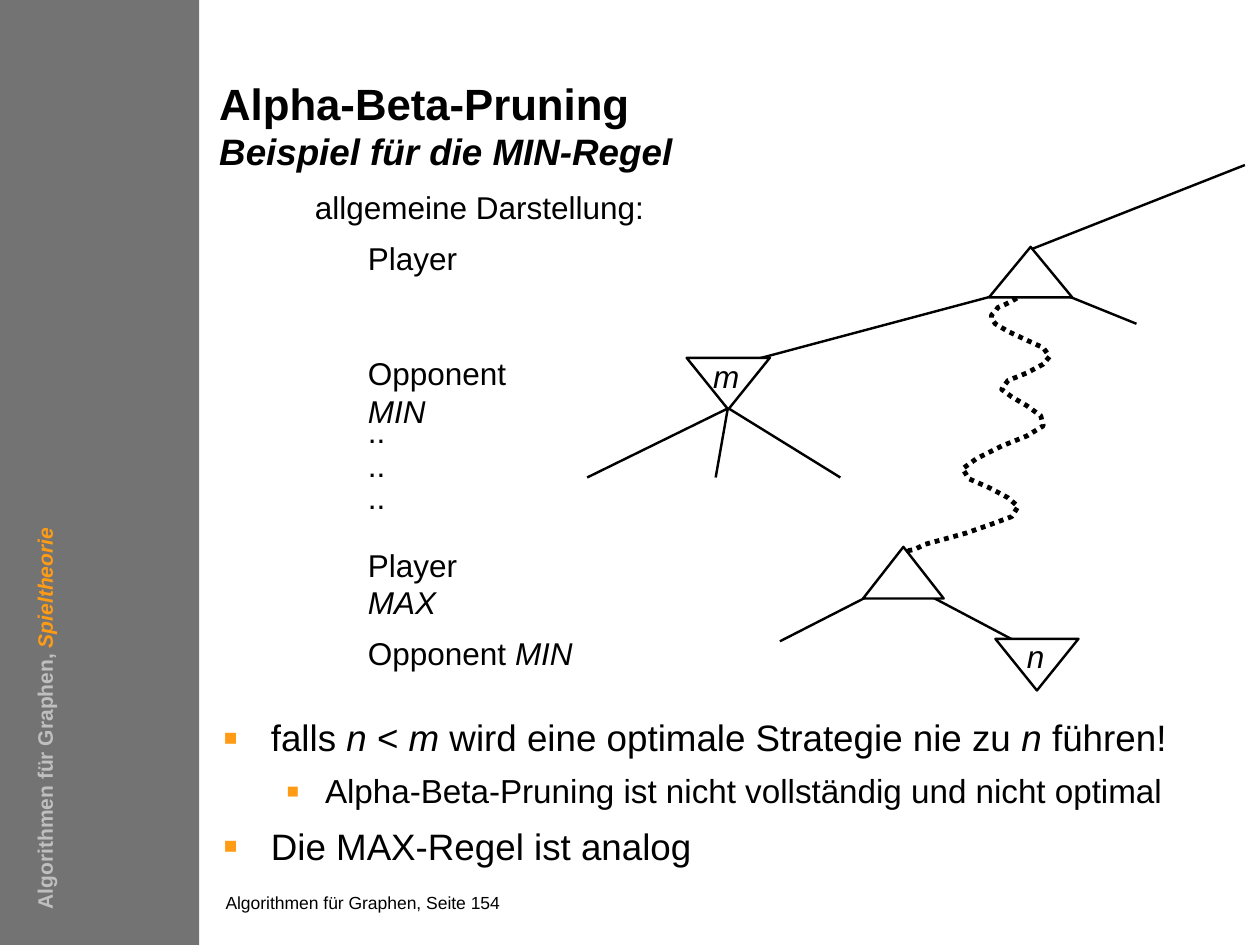
from dataclasses import dataclass

import pptx
import pptx.dml.color
import pptx.enum.dml
import pptx.enum.shapes
import pptx.enum.text
import pptx.oxml
import pptx.oxml.ns
import pptx.util

PX = 9144  # EMU per px, 100 px to the inch
FONT = "Arial"
BLACK = pptx.dml.color.RGBColor(0x00, 0x00, 0x00)
WHITE = pptx.dml.color.RGBColor(0xFF, 0xFF, 0xFF)
GRAY = pptx.dml.color.RGBColor(0x73, 0x73, 0x73)
LIGHT_GRAY = pptx.dml.color.RGBColor(0xBF, 0xBF, 0xBF)
ORANGE = pptx.dml.color.RGBColor(0xFF, 0x9B, 0x14)
TREE_LINE = 1.38


@dataclass(frozen=True)
class Run:
    text: str
    size: int = 18
    italic: bool = False
    bold: bool = False
    color: pptx.dml.color.RGBColor = BLACK


@dataclass(frozen=True)
class TextBox:
    left: int
    top: int
    width: int
    height: int
    runs: tuple[Run, ...] = ()
    wrap: bool = True
    margins: tuple[int, int] = (0, 0)
    rotation: int = 0


@dataclass(frozen=True)
class Bullet:
    level: int
    margin: int
    hanging: int
    space_before: float
    runs: tuple[Run, ...]


@dataclass(frozen=True)
class Node:
    """A game tree node: MAX points up, MIN points down."""
    left: int
    base: int
    width: int
    tip: int


TITLE = TextBox(174, 67, 510, 75)
TITLE_LINES = (
    Run("Alpha-Beta-Pruning", 25, bold=True),
    Run("Beispiel für die MIN-Regel", 21, italic=True, bold=True),
)
BODY = TextBox(177, 564, 807, 150)
BULLETS = (
    Bullet(0, 38, 38, 0, (
        Run("falls ", 21), Run("n", 21, True), Run(" < ", 21), Run("m", 21, True),
        Run(" wird eine optimale Strategie nie zu ", 21), Run("n", 21, True),
        Run(" führen!", 21))),
    Bullet(1, 81, 31, 4.4, (
        Run("Alpha-Beta-Pruning ist nicht vollständig und nicht optimal", 19),)),
    Bullet(0, 38, 38, 4.8, (Run("Die MAX-Regel ist analog", 21),)),
)

LABEL_LEFT, LABEL_HEIGHT = 292, 30
TEXTS = (
    TextBox(179, 708, 486, 21, (Run("Algorithmen für Graphen, Seite 154", 10),)),
    TextBox(LABEL_LEFT, 190, 71, LABEL_HEIGHT, (Run("Player"),), wrap=False),
    TextBox(LABEL_LEFT, 281, 160, LABEL_HEIGHT, (Run("Opponent "), Run("MIN", italic=True))),
    TextBox(LABEL_LEFT, 433, 128, LABEL_HEIGHT, (Run("Player "), Run("MAX", italic=True))),
    TextBox(LABEL_LEFT, 503, 243, LABEL_HEIGHT, (Run("Opponent "), Run("MIN", italic=True))),
    *(TextBox(LABEL_LEFT, top, 14, LABEL_HEIGHT, (Run(".."),), wrap=False)
      for top in (327, 354, 379)),
    TextBox(566, 283, 21, LABEL_HEIGHT, (Run("m", italic=True),), wrap=False),
    TextBox(815, 506, 21, LABEL_HEIGHT, (Run("n", italic=True),)),
    TextBox(240, 144, 495, 45, (Run("allgemeine Darstellung:"),), margins=(10, 5)),
    TextBox(-198, 483, 467, 30, (
        Run("Algorithmen für Graphen, ", 12, bold=True, color=LIGHT_GRAY),
        Run("Spieltheorie", 12, True, True, ORANGE)), margins=(10, 5), rotation=270),
)

BRANCHES = (
    ((818, 198), (988, 131)), ((823, 225), (902, 257)), ((818, 227), (578, 291)),
    ((578, 324), (466, 379)), ((578, 322), (568, 379)), ((578, 324), (667, 379)),
    ((711, 462), (619, 509)), ((721, 464), (810, 511)),
)
NODES = (Node(785, 236, 66, 196), Node(545, 284, 66, 325),
         Node(685, 475, 64, 434), Node(790, 507, 66, 548))
OMITTED_PATH = (
    (820, 229), (818, 231), (810, 234), (808, 236), (803, 239), (797, 242), (792, 244),
    (790, 247), (787, 250), (787, 253), (790, 257), (800, 263), (815, 270), (828, 276),
    (833, 283), (828, 289), (815, 296), (800, 302), (795, 309), (803, 315), (815, 322),
    (826, 330), (828, 338), (815, 346), (795, 354), (775, 364), (764, 372), (769, 380),
    (785, 387), (800, 395), (808, 402), (803, 410), (787, 416), (767, 423), (749, 428),
    (734, 432), (726, 436), (721, 437), (721, 439), (718, 441),
)


def add_run(paragraph, item: Run) -> None:
    run = paragraph.add_run()
    run.text = item.text
    run.font.name = FONT
    run.font.size = pptx.util.Pt(item.size)
    run.font.bold = item.bold
    run.font.italic = item.italic
    run.font.color.rgb = item.color


def add_text_box(slide, box: TextBox):
    shape = slide.shapes.add_textbox(
        box.left * PX, box.top * PX, box.width * PX, box.height * PX)
    shape.rotation = box.rotation
    frame = shape.text_frame
    frame.word_wrap = box.wrap
    frame.vertical_anchor = pptx.enum.text.MSO_ANCHOR.TOP
    frame.margin_left = frame.margin_right = box.margins[0] * PX
    frame.margin_top = frame.margin_bottom = box.margins[1] * PX
    for item in box.runs:
        add_run(frame.paragraphs[0], item)
    return frame


def add_title(slide) -> None:
    paragraph = add_text_box(slide, TITLE).paragraphs[0]
    paragraph.line_spacing = pptx.util.Pt(25.4)
    heading, subtitle = TITLE_LINES
    add_run(paragraph, heading)
    paragraph.add_line_break()
    add_run(paragraph, subtitle)


def add_bullets(slide) -> None:
    frame = add_text_box(slide, BODY)
    namespace = pptx.oxml.ns.nsdecls("a")
    for index, bullet in enumerate(BULLETS):
        paragraph = frame.add_paragraph() if index else frame.paragraphs[0]
        paragraph.level = bullet.level
        paragraph.line_spacing = 1.1
        paragraph.space_before = pptx.util.Pt(bullet.space_before)
        properties = paragraph._p.get_or_add_pPr()
        properties.set("marL", str(bullet.margin * PX))
        properties.set("indent", str(-bullet.hanging * PX))
        for xml in (f'<a:buClr {namespace}><a:srgbClr val="{ORANGE}"/></a:buClr>',
                    f'<a:buSzPct {namespace} val="120000"/>',
                    f'<a:buFont {namespace} typeface="{FONT}"/>',
                    f'<a:buChar {namespace} char="▪"/>'):
            properties.append(pptx.oxml.parse_xml(xml))
        for item in bullet.runs:
            add_run(paragraph, item)


def add_branch(slide, start: tuple[int, int], end: tuple[int, int]) -> None:
    connector = slide.shapes.add_connector(
        pptx.enum.shapes.MSO_CONNECTOR.STRAIGHT,
        start[0] * PX, start[1] * PX, end[0] * PX, end[1] * PX)
    connector.line.color.rgb = BLACK
    connector.line.width = pptx.util.Pt(TREE_LINE)
    connector._element.spPr.append(
        pptx.oxml.parse_xml(f'<a:effectLst {pptx.oxml.ns.nsdecls("a")}/>'))


def add_outline(slide, points: tuple[tuple[int, int], ...], width: float, close: bool):
    builder = slide.shapes.build_freeform(*points[0], scale=PX)
    builder.add_line_segments(points[1:], close=close)
    shape = builder.convert_to_shape()
    shape.shadow.inherit = False
    shape.line.color.rgb = BLACK
    shape.line.width = pptx.util.Pt(width)
    return shape


def add_node(slide, node: Node) -> None:
    right = node.left + node.width
    corners = ((node.left + node.width // 2, node.tip), (right, node.base),
               (node.left, node.base))
    shape = add_outline(slide, corners, TREE_LINE, close=True)
    shape.fill.solid()
    shape.fill.fore_color.rgb = WHITE


def main() -> None:
    presentation = pptx.Presentation()
    presentation.slide_width, presentation.slide_height = 1000 * PX, 750 * PX
    slide = presentation.slides.add_slide(presentation.slide_layouts[6])

    sidebar = slide.shapes.add_shape(
        pptx.enum.shapes.MSO_SHAPE.RECTANGLE, 0, 0, 158 * PX, 750 * PX)
    sidebar.shadow.inherit = False
    sidebar.fill.solid()
    sidebar.fill.fore_color.rgb = GRAY
    sidebar.line.fill.background()

    add_title(slide)
    add_bullets(slide)
    omitted = add_outline(slide, OMITTED_PATH, 2.75, close=False)
    omitted.fill.background()
    omitted.line.dash_style = pptx.enum.dml.MSO_LINE.ROUND_DOT
    for start, end in BRANCHES:
        add_branch(slide, start, end)
    for node in NODES:
        add_node(slide, node)
    for box in TEXTS:
        add_text_box(slide, box)
    presentation.save("out.pptx")


if __name__ == "__main__":
    main()
